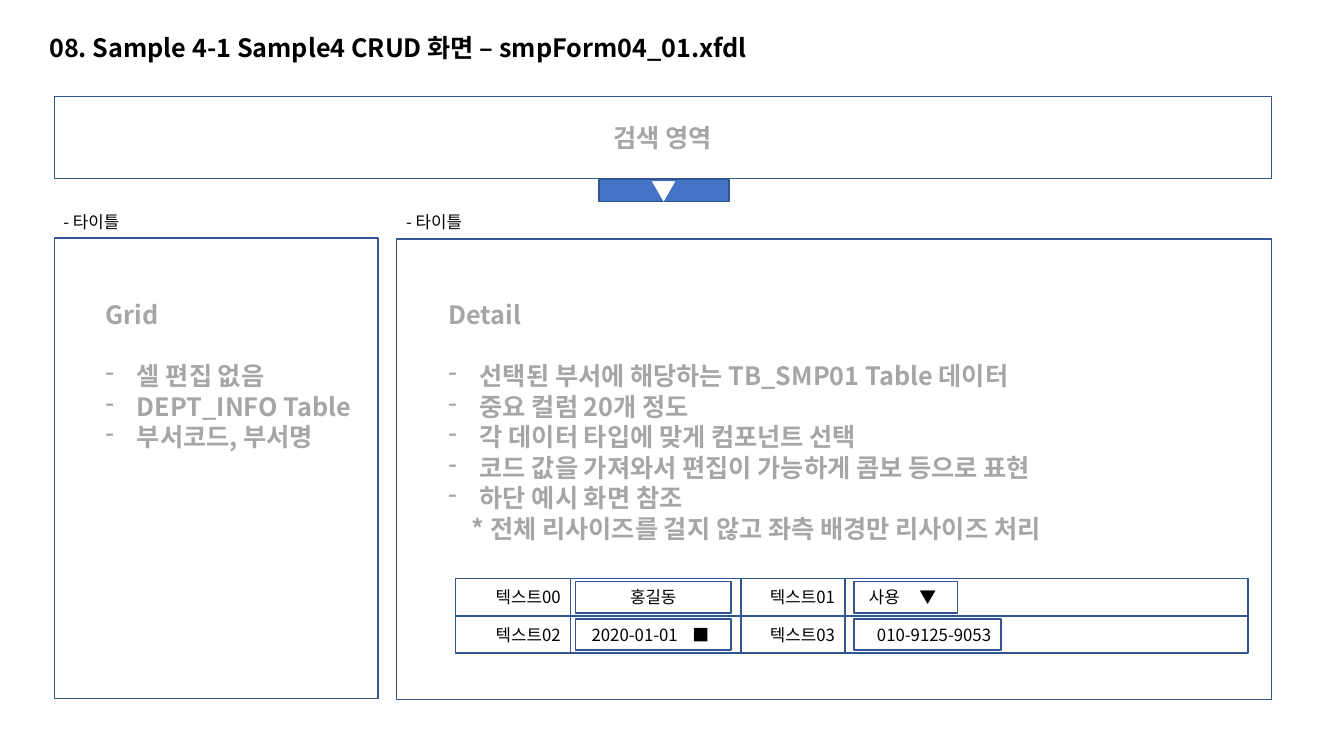
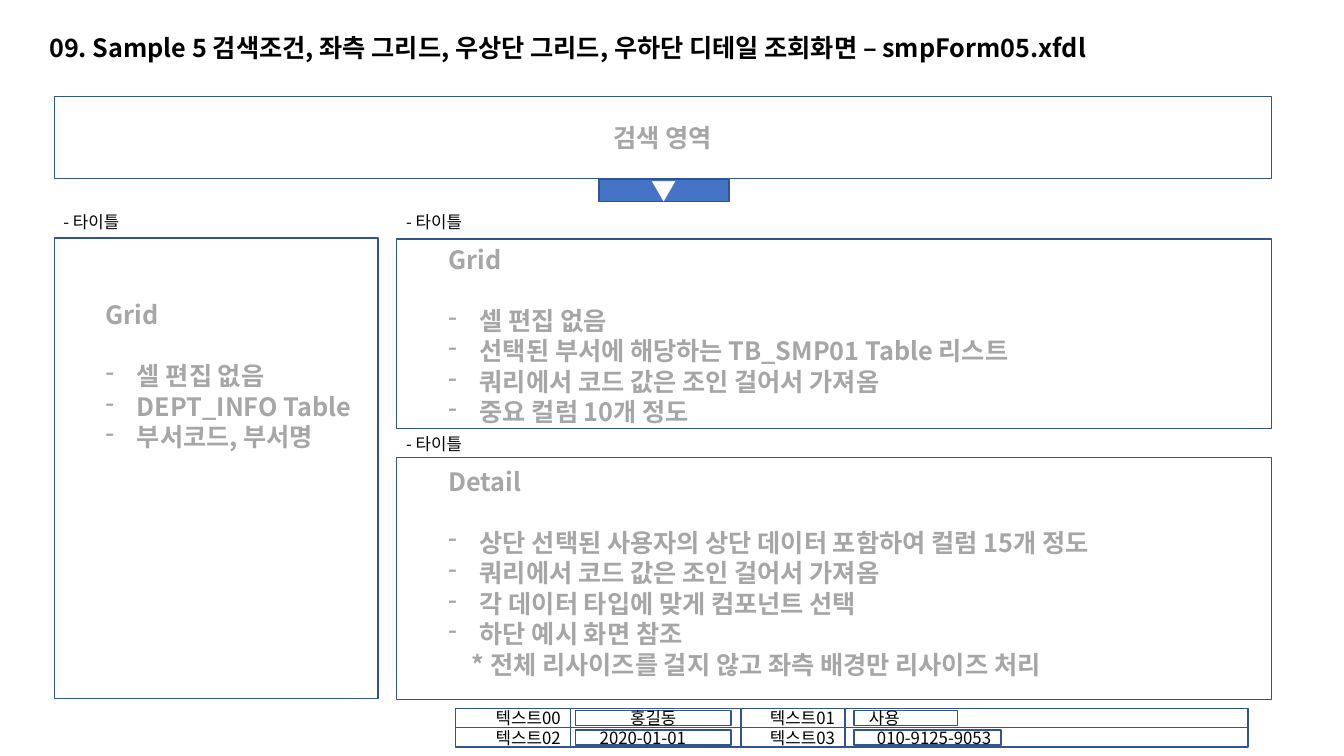
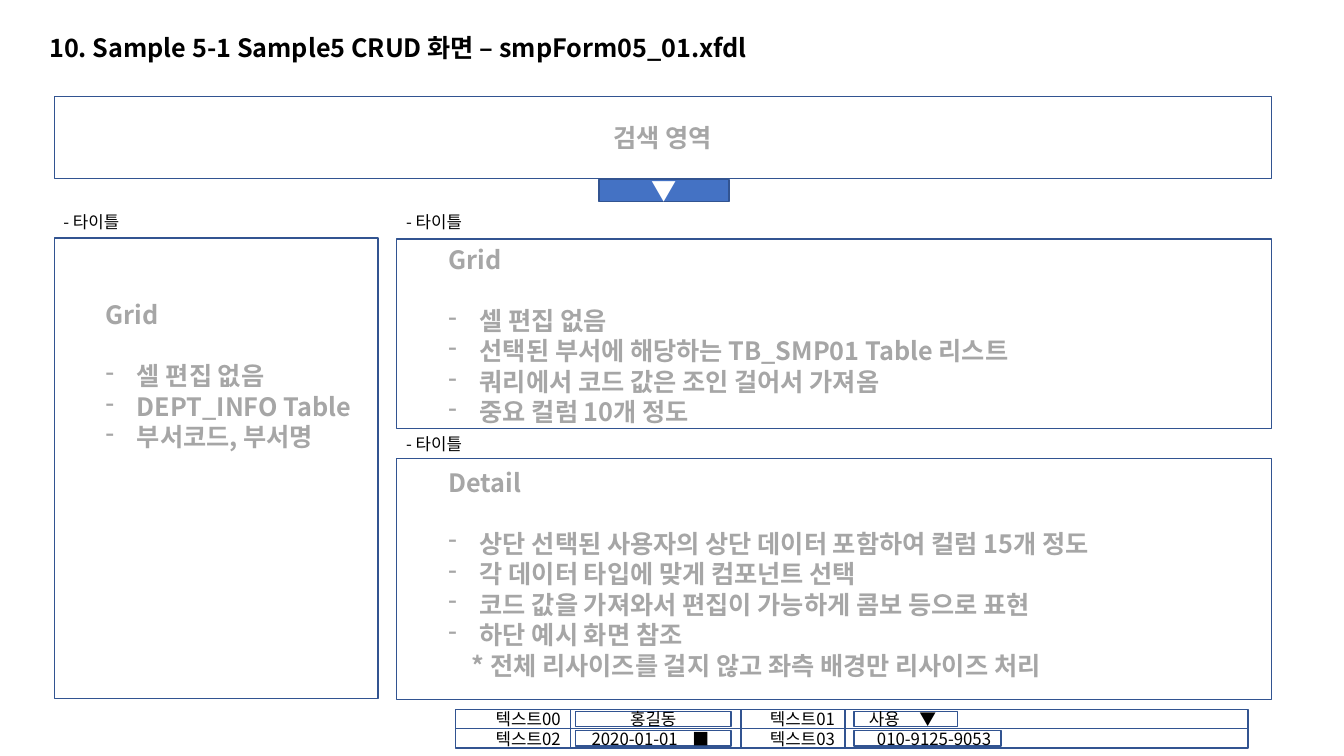
from lxml import etree
from pptx import Presentation
from pptx.dml.color import RGBColor
from pptx.enum import shapes, text
from pptx.oxml.ns import qn
from pptx.util import Inches, Pt

FONT = "Noto Sans CJK KR"
COLORS = {
    "line": "325491",
    "accent": "4472C4",
    "muted": "A6A6A6",
    "black": "000000",
    "white": "FFFFFF",
}
LEFT, CENTER, RIGHT = text.PP_ALIGN.LEFT, text.PP_ALIGN.CENTER, text.PP_ALIGN.RIGHT
LINE_PITCH = Pt(21.8)

# Panel columns, shared by all slides
GRID_X, GRID_W = 0.54, 3.21
MAIN_X, MAIN_W = 3.93, 8.68
PANEL_TOP, PANEL_BOTTOM = 2.37, 6.94

RESIZE_NOTE = "* 전체 리사이즈를 걸지 않고 좌측 배경만 리사이즈 처리"
DEPT_ITEMS = ["셀 편집 없음", "DEPT_INFO Table", "부서코드, 부서명"]
USER_ITEMS = [
    "셀 편집 없음",
    "선택된 부서에 해당하는 TB_SMP01 Table 리스트",
    "쿼리에서 코드 값은 조인 걸어서 가져옴",
    "중요 컬럼 10개 정도",
]


def color(name):
    return RGBColor.from_string(COLORS[name])


def style(p, size, ink, bold=False, align=LEFT):
    p.alignment = align
    for r in p.runs:
        r.font.name, r.font.size, r.font.bold = FONT, Pt(size), bold
        r.font.color.rgb = color(ink)
        ea = etree.SubElement(r.font._element, qn("a:ea"))
        ea.set("typeface", FONT)


def indent(p, left, first=0):
    pPr = p._p.get_or_add_pPr()
    pPr.set("marL", str(Inches(left)))
    pPr.set("indent", str(Inches(first)))
    return pPr


def add_dash(p):
    pPr = indent(p, 0.31, -0.31)
    etree.SubElement(pPr, qn("a:buFontTx"))
    etree.SubElement(pPr, qn("a:buChar")).set("char", "-")


def add_tab(p, position):
    tabs = etree.SubElement(p._p.get_or_add_pPr(), qn("a:tabLst"))
    tab = etree.SubElement(tabs, qn("a:tab"))
    tab.set("pos", str(Inches(position)))
    tab.set("algn", "l")


def add_box(s, x, y, w, h, label="", size=12, ink="black", bold=False,
            align=CENTER, fill=None):
    sp = s.shapes.add_shape(shapes.MSO_SHAPE.RECTANGLE,
                            Inches(x), Inches(y), Inches(w), Inches(h))
    sp.shadow.inherit = False
    if fill:
        sp.fill.solid()
        sp.fill.fore_color.rgb = color(fill)
    else:
        sp.fill.background()
    sp.line.color.rgb = color("line")
    sp.line.width = Pt(1)
    tf = sp.text_frame
    tf.vertical_anchor = text.MSO_ANCHOR.MIDDLE
    p = tf.paragraphs[0]
    if label:
        p.text = label
        style(p, size, ink, bold, align)
    return p


def add_text(s, x, y, w, h, label, size=12, bold=False, wrap=True, ink="black"):
    tf = s.shapes.add_textbox(Inches(x), Inches(y), Inches(w), Inches(h)).text_frame
    tf.word_wrap = wrap
    tf.auto_size = text.MSO_AUTO_SIZE.SHAPE_TO_FIT_TEXT
    p = tf.paragraphs[0]
    p.text = label
    style(p, size, ink, bold)
    return tf


def add_caption(s, x, y):
    add_text(s, x, y, 0.83, 0.3, "- 타이틀", wrap=False)


def add_notes_list(s, x, y, w, heading, items, remark=None):
    """Muted heading, one line of space, dashed items and an optional remark."""
    lines = len(items) + 2 + bool(remark)
    tf = add_text(s, x, y, w, 0.1 + 0.3 * lines, heading, 18, True, ink="muted")
    for i, item in enumerate(items):
        p = tf.add_paragraph()
        p.text = item
        style(p, 18, "muted", True)
        if i == 0:
            p.space_before = LINE_PITCH
        add_dash(p)
    if remark:
        p = tf.add_paragraph()
        p.text = remark
        style(p, 18, "muted", True)
        indent(p, 0.23)
    for p in tf.paragraphs:
        p.line_spacing = LINE_PITCH


def add_form(s, top, row_h, icons=True):
    """Two-row sample form: label cells, wide value cells and input fields."""
    pad = 0.03 if row_h > 0.3 else 0.02
    for row, labels in enumerate((("텍스트00", "텍스트01"), ("텍스트02", "텍스트03"))):
        y = top + row * row_h
        add_box(s, 4.52, y, 1.14, row_h, labels[0], align=RIGHT)
        add_box(s, 5.66, y, 6.72, row_h)
        add_box(s, 7.35, y, 1.03, row_h, labels[1], align=RIGHT)

    field_h = row_h - 2 * pad
    first, second = top + pad, top + row_h + pad
    add_box(s, 5.71, first, 1.54, field_h, "홍길동")
    combo = add_box(s, 8.47, first, 1.03, field_h,
                    "사용\t▼" if icons else "사용", align=LEFT)
    date = add_box(s, 5.71, second, 1.54, field_h,
                   "2020-01-01\t■" if icons else "2020-01-01", align=LEFT)
    add_box(s, 8.47, second, 1.46, field_h, "010-9125-9053", align=RIGHT)
    indent(combo, 0.05)
    indent(date, 0.06 if icons else 0.14)
    if icons:
        add_tab(combo, 0.53)
        add_tab(date, 1.11)


def add_screen(prs, title):
    """Parts common to every screen: title, search area and department grid."""
    s = prs.slides.add_slide(prs.slide_layouts[6])
    add_text(s, 0.39, 0.27, 12.23, 0.4, title, 18, True)
    add_box(s, GRID_X, 0.96, 12.07, 0.81, "검색 영역", 18, "muted", True)
    add_box(s, 5.94, 1.78, 1.29, 0.22, "▼", 18, "white", fill="accent")
    for x in (0.53, MAIN_X):
        add_caption(s, x, 2.05)
    add_box(s, GRID_X, 2.36, GRID_W, 4.57)
    add_notes_list(s, 0.95, 2.92, 2.64, "Grid", DEPT_ITEMS)
    return s


def add_main_panel(s, top, bottom, text_top, heading, items, remark=None):
    add_box(s, MAIN_X, top, MAIN_W, bottom - top)
    add_notes_list(s, 4.35, text_top, 8.16, heading, items, remark)


def add_split_panels(s, detail_top, detail_items):
    """User grid above, detail panel below."""
    add_main_panel(s, PANEL_TOP, 4.25, PANEL_TOP, "Grid", USER_ITEMS)
    add_caption(s, MAIN_X, 4.25)
    add_main_panel(s, detail_top, PANEL_BOTTOM, detail_top + 0.03,
                   "Detail", detail_items, RESIZE_NOTE)


def main():
    prs = Presentation()
    prs.slide_width, prs.slide_height = Inches(13.33), Inches(7.5)

    # Sample 4-1: one detail panel
    s = add_screen(prs, "08. Sample 4-1 Sample4 CRUD 화면 – smpForm04_01.xfdl")
    add_main_panel(s, PANEL_TOP, PANEL_BOTTOM, 2.92, "Detail", [
        "선택된 부서에 해당하는 TB_SMP01 Table 데이터",
        "중요 컬럼 20개 정도",
        "각 데이터 타입에 맞게 컴포넌트 선택",
        "코드 값을 가져와서 편집이 가능하게 콤보 등으로 표현",
        "하단 예시 화면 참조",
    ], RESIZE_NOTE)
    add_form(s, 5.74, 0.37)

    # Sample 5: read-only grid and detail
    s = add_screen(prs, "09. Sample 5 검색조건, 좌측 그리드, 우상단 그리드, "
                        "우하단 디테일 조회화면 – smpForm05.xfdl")
    add_split_panels(s, 4.54, [
        "상단 선택된 사용자의 상단 데이터 포함하여 컬럼 15개 정도",
        "쿼리에서 코드 값은 조인 걸어서 가져옴",
        "각 데이터 타입에 맞게 컴포넌트 선택",
        "하단 예시 화면 참조",
    ])
    add_form(s, 7.03, 0.19, icons=False)

    # Sample 5-1: editable grid and detail
    s = add_screen(prs, "10. Sample 5-1 Sample5 CRUD 화면 – smpForm05_01.xfdl")
    add_split_panels(s, 4.55, [
        "상단 선택된 사용자의 상단 데이터 포함하여 컬럼 15개 정도",
        "각 데이터 타입에 맞게 컴포넌트 선택",
        "코드 값을 가져와서 편집이 가능하게 콤보 등으로 표현",
        "하단 예시 화면 참조",
    ])
    add_form(s, 7.04, 0.19)

    prs.save("out.pptx")


if __name__ == "__main__":
    main()
